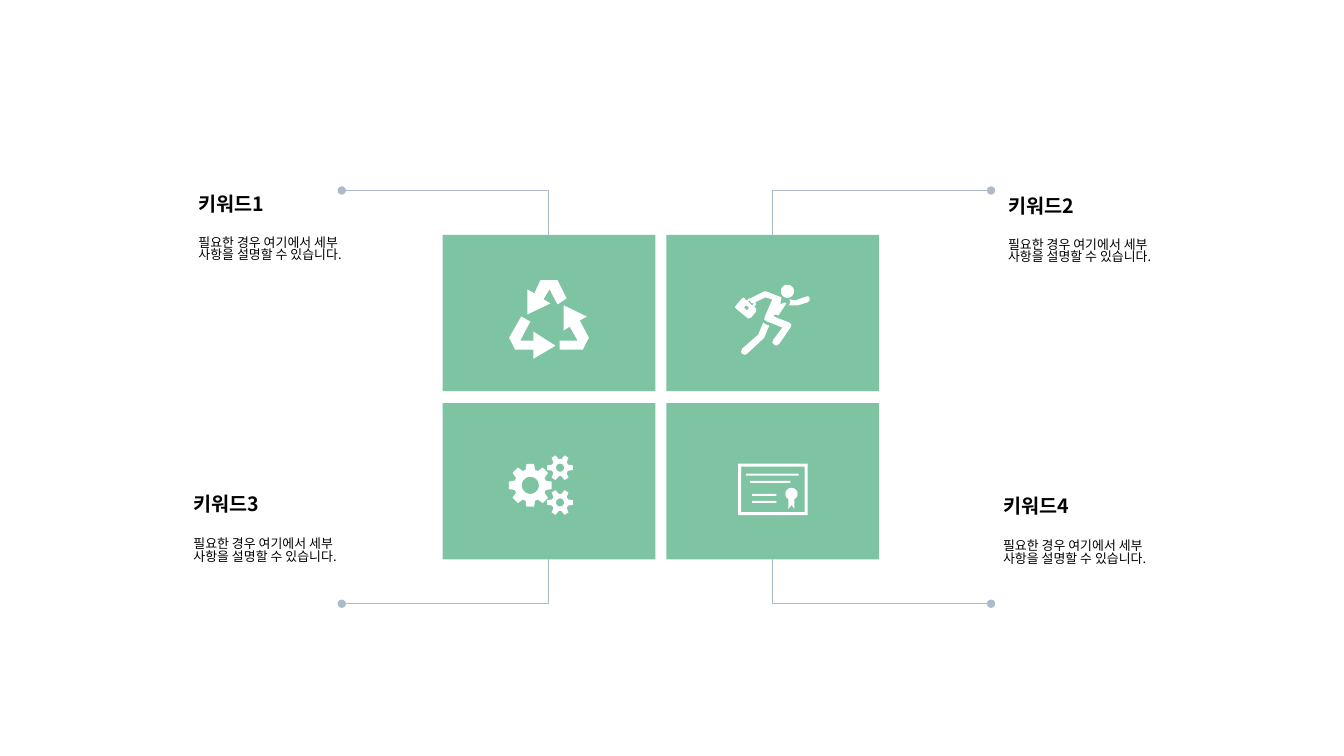
from dataclasses import dataclass
from math import cos, radians, sin

from lxml.etree import SubElement
from pptx import Presentation
from pptx.dml.color import RGBColor
from pptx.enum.shapes import MSO_CONNECTOR, MSO_SHAPE
from pptx.oxml.ns import qn
from pptx.util import Inches, Pt


@dataclass(frozen=True)
class Theme:
    """Colours, font and type sizes of the slide."""
    card: RGBColor = RGBColor(0x7E, 0xC3, 0xA2)
    icon: RGBColor = RGBColor(0xFF, 0xFF, 0xFF)
    line: RGBColor = RGBColor(0xAD, 0xBA, 0xCA)
    text: RGBColor = RGBColor(0, 0, 0)
    font: str = "Noto Sans CJK KR"
    title_size: float = 14
    body_size: float = 9.2


THEME = Theme()
CARD_WIDTH, CARD_HEIGHT = 2.11, 1.55
CARD_LEFTS, CARD_TOPS = (4.39, 6.61), (2.33, 4.0)
DOT_LEFTS = (3.39, 9.83)
RISE = 0.44
DETAIL = "필요한 경우 여기에서 세부 사항을 설명할 수 있습니다."
KEYWORDS = (
    ("키워드1", 1.87, 1.88, 2.30),
    ("키워드2", 9.90, 1.90, 2.32),
    ("키워드3", 1.82, 4.86, 5.29),
    ("키워드4", 9.85, 4.88, 5.31),
)
RECYCLE = (
    ((5.53, 2.78), (5.36, 2.78), (5.3, 2.91), (5.23, 2.87), (5.23, 3.12), (5.46, 3.01),
     (5.39, 2.97), (5.45, 2.87), (5.53, 3.02), (5.62, 2.96)),
    ((5.29, 3.38), (5.16, 3.38), (5.26, 3.19), (5.17, 3.14), (5.05, 3.35), (5.11, 3.47),
     (5.29, 3.47), (5.29, 3.56), (5.51, 3.43), (5.29, 3.29)),
    ((5.75, 3.18), (5.82, 3.14), (5.59, 3.03), (5.59, 3.28), (5.65, 3.24), (5.73, 3.38),
     (5.55, 3.38), (5.55, 3.47), (5.78, 3.47), (5.84, 3.35)),
)
RUNNER = (
    ((8.03, 2.96), (8.02, 2.94), (8, 2.94), (7.89, 2.98), (7.83, 2.97), (7.84, 2.99),
     (7.83, 3.02), (7.82, 3.03), (7.89, 3.03), (7.91, 3.03), (8.01, 3), (8.03, 2.98)),
    ((7.47, 3.02), (7.46, 3.03), (7.42, 2.99), (7.44, 2.98), (7.44, 2.99), (7.46, 3.01),
     (7.48, 3.01)),
    ((7.41, 3.08), (7.38, 3.05), (7.4, 3.03), (7.43, 3.05)),
    ((7.83, 3.2), (7.7, 3.15), (7.68, 3.14), (7.67, 3.13), (7.69, 3.12), (7.72, 3.13),
     (7.8, 3.01), (7.78, 3), (7.74, 3.02), (7.75, 2.95), (7.7, 2.93), (7.6, 2.89),
     (7.58, 2.89), (7.46, 2.95), (7.45, 2.96), (7.43, 2.96), (7.41, 2.98), (7.39, 2.97),
     (7.38, 2.95), (7.36, 2.96), (7.3, 3.03), (7.29, 3.05), (7.31, 3.07), (7.42, 3.16),
     (7.45, 3.15), (7.5, 3.09), (7.5, 3.06), (7.48, 3.04), (7.5, 3.02), (7.49, 3),
     (7.59, 2.95), (7.66, 2.97), (7.59, 3.13), (7.58, 3.17), (7.61, 3.19), (7.76, 3.25),
     (7.67, 3.37), (7.66, 3.4), (7.68, 3.42), (7.7, 3.43), (7.73, 3.41), (7.84, 3.25),
     (7.85, 3.22)),
    ((7.57, 3.2), (7.52, 3.32), (7.36, 3.46), (7.35, 3.49), (7.36, 3.51), (7.39, 3.52),
     (7.41, 3.51), (7.57, 3.36), (7.58, 3.35), (7.63, 3.23), (7.6, 3.22)),
)


def polar(center, radius, angle):
    """Return the point at an angle in degrees around a center."""
    return (center[0] + radius * cos(radians(angle)),
            center[1] + radius * sin(radians(angle)))


def arc(center, radius, start=0, sweep=360, steps=36):
    """Return points along an arc."""
    return [polar(center, radius, start + sweep * step / steps) for step in range(steps + 1)]


def gear(center, teeth, tip, root, tip_half, root_half):
    """Return the toothed outline of a gear."""
    corners = ((root, -root_half), (tip, -tip_half), (tip, tip_half), (root, root_half))
    return [polar(center, radius, 360 * tooth / teeth + offset)
            for tooth in range(teeth) for radius, offset in corners]


def rectangle(left, top, right, bottom):
    """Return the corners of a rectangle."""
    return [(left, top), (right, top), (right, bottom), (left, bottom)]


def gears():
    """Return the outlines of one large and two small gears."""
    large, small = (5.26, 4.815), ((5.555, 4.64), (5.555, 4.985))
    outlines = [gear(large, 8, 0.215, 0.16, 10, 17), arc(large, 0.085)]
    for center in small:
        outlines += [gear(center, 6, 0.13, 0.085, 10, 21), arc(center, 0.04)]
    return outlines


def certificate():
    """Return the outlines of a framed certificate with a ribbon."""
    bars = ((7.40, 7.92, 4.71), (7.44, 7.84, 4.78), (7.46, 7.70, 4.91), (7.46, 7.70, 4.98))
    ribbon = arc((7.85, 4.9), 0.06, 120, 300) + [(7.88, 5.05), (7.85, 5.01), (7.82, 5.05)]
    return [rectangle(7.32, 4.6, 8.01, 5.11), rectangle(7.35, 4.63, 7.98, 5.08), ribbon,
            *(rectangle(left, y - 0.01, right, y + 0.01) for left, right, y in bars)]


def paint(shape, color):
    """Give a shape a plain fill without line or shadow."""
    shape.shadow.inherit = False
    shape.fill.solid()
    shape.fill.fore_color.rgb = color
    shape.line.fill.background()


def add_icon(page, outlines):
    """Draw closed outlines as one white shape."""
    scaled = [[(Inches(x), Inches(y)) for x, y in outline] for outline in outlines]
    builder = page.shapes.build_freeform(*scaled[0][0])
    builder.add_line_segments(scaled[0][1:])
    for outline in scaled[1:]:
        builder.move_to(*outline[0])
        builder.add_line_segments(outline[1:])
    paint(builder.convert_to_shape(), THEME.icon)


def add_card(page, left, top):
    """Add one green card."""
    card = page.shapes.add_shape(MSO_SHAPE.RECTANGLE, Inches(left), Inches(top),
                                 Inches(CARD_WIDTH), Inches(CARD_HEIGHT))
    paint(card, THEME.card)


def add_lead(page, dot_x, dot_y, card_x, card_y):
    """Add a bent line from an outer dot to a card edge."""
    lead = page.shapes.add_connector(MSO_CONNECTOR.ELBOW, Inches(dot_x), Inches(dot_y),
                                     Inches(card_x), Inches(card_y))
    lead.line.color.rgb = THEME.line
    lead.line.width = Pt(0.75)
    properties = lead._element.spPr
    properties.find(qn("a:prstGeom")).set("prst", "bentConnector2")
    SubElement(properties.find(qn("a:ln")), qn("a:headEnd"), type="oval")
    SubElement(properties, qn("a:effectLst"))


def add_text(page, text, left, top, width, height, *, size, bold=False, spacing=1.0):
    """Add a wrapped text box with one paragraph."""
    box = page.shapes.add_textbox(Inches(left), Inches(top), Inches(width), Inches(height))
    box.text_frame.word_wrap = True
    para = box.text_frame.paragraphs[0]
    para.line_spacing = spacing
    span = para.add_run()
    span.text = text
    span.font.name = THEME.font
    span.font.size = Pt(size)
    span.font.bold = bold
    span.font.color.rgb = THEME.text
    SubElement(span.font._element, qn("a:ea"), typeface=THEME.font)


def main():
    """Build and save the slide."""
    deck = Presentation()
    deck.slide_width, deck.slide_height = Inches(13.33), Inches(7.5)
    page = deck.slides.add_slide(deck.slide_layouts[6])
    for row, top in enumerate(CARD_TOPS):
        edge = top + CARD_HEIGHT * row
        dot_y = edge + (RISE if row else -RISE)
        for left, dot_x in zip(CARD_LEFTS, DOT_LEFTS):
            add_card(page, left, top)
            add_lead(page, dot_x, dot_y, left + CARD_WIDTH / 2, edge)
    for outlines in (RECYCLE, (*RUNNER, arc((7.81, 2.89), 0.065)), gears(), certificate()):
        add_icon(page, outlines)
    for title, left, title_top, detail_top in KEYWORDS:
        add_text(page, DETAIL, left, detail_top, 1.87, 0.43,
                 size=THEME.body_size, spacing=0.83)
        add_text(page, title, left, title_top, 2.52, 0.37,
                 size=THEME.title_size, bold=True, spacing=0.9)
    deck.save("out.pptx")


if __name__ == "__main__":
    main()
